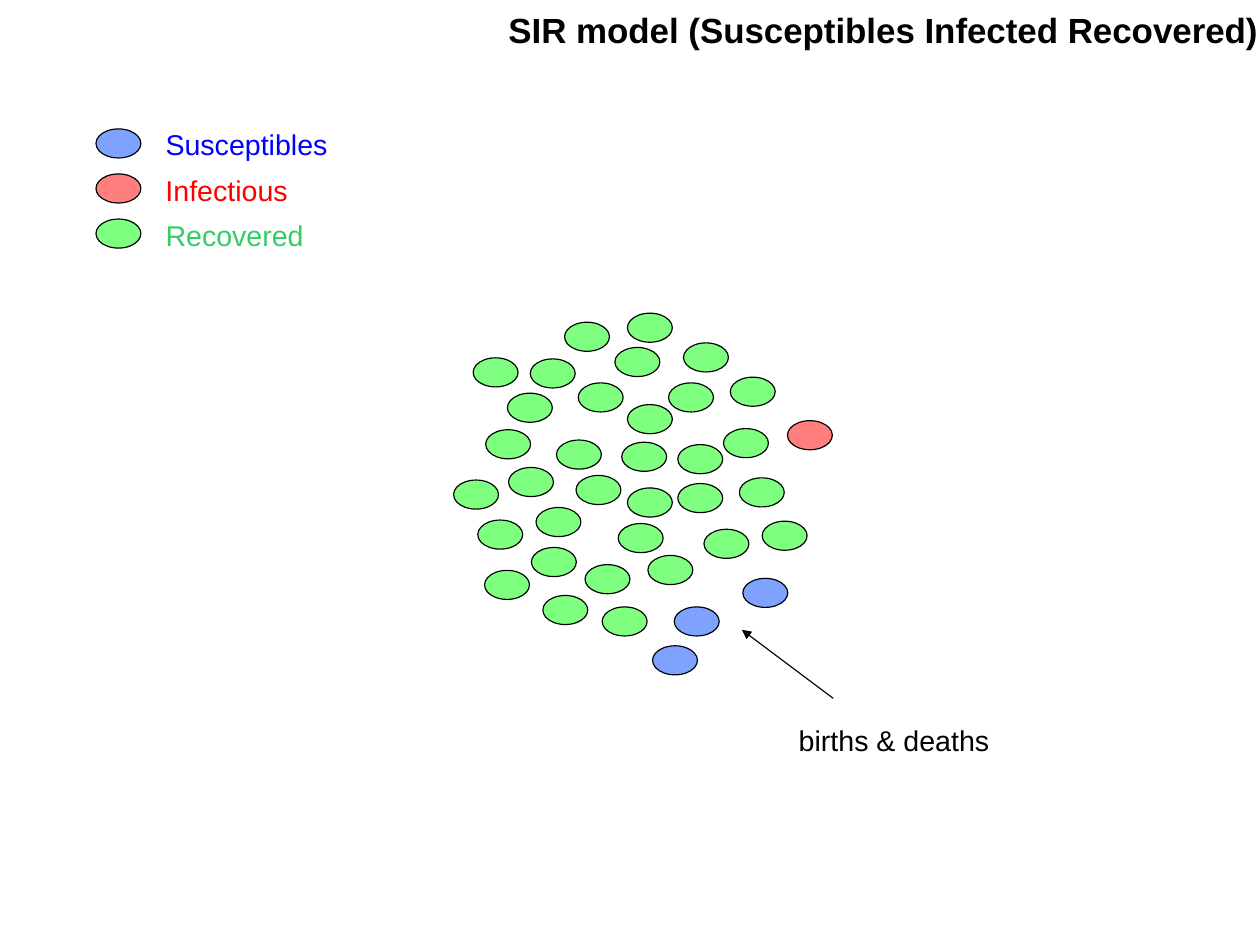
"""Build the slide that shows the groups of the SIR model."""
from dataclasses import dataclass

from lxml.etree import SubElement as Sub
from pptx import Presentation
from pptx.dml.color import RGBColor as Rgb
from pptx.enum.shapes import MSO_CONNECTOR as Link, MSO_SHAPE as Form
from pptx.oxml.ns import qn
from pptx.util import Pt


@dataclass(frozen=True)
class Theme:
    font: str = "Arial"
    title: int = 22
    body: int = 18
    black: str = "000000"
    blue: str = "0047FF"
    red: str = "FF0000"
    green: str = "00FF00"
    sky: str = "0000FF"
    leaf: str = "33CC66"
    edge: float = 0.75
    alpha: int = 50000


THEME = Theme()
SIZE = (28.3, 18.3)
GREEN = [
    (319.7, 247.7), (350.6, 277.2), (364.3, 241.2), (391.7, 278.6),
    (421.2, 241.2), (427, 304.6), (395.3, 307.4), (337.7, 319.7),
    (320.4, 294.5), (334.8, 344.9), (368.6, 355.7), (408.2, 349.9),
    (443.5, 333.4), (455.8, 270), (465.8, 301), (379.4, 382.3),
    (301, 327.6), (342, 375.1), (306, 270.7), (334.1, 226.1),
    (387.4, 218.9), (395.3, 254.9), (362.9, 299.5), (285.8, 302.4),
    (305.3, 359.3), (427, 280.1), (480.2, 328.3), (460.1, 237.6),
    (430.6, 216), (355.7, 203), (389.5, 329.8), (395.3, 197.3),
    (298.1, 225.4),
]
BLUE = [(424.8, 382.3), (411.1, 406.8), (468, 364.3)]
RED = [(496.1, 265)]
LEGEND = [
    ("Susceptibles", THEME.blue, THEME.sky, 115.9),
    ("Infectious", THEME.red, THEME.red, 91.4),
    ("Recovered", THEME.green, THEME.leaf, 101.5),
]


def add_text(slide, text, box, size=THEME.body, color=THEME.black,
             bold=False, wrap=False, top=5):
    shape = slide.shapes.add_textbox(*map(Pt, box))
    frame = shape.text_frame
    frame.word_wrap = wrap
    frame.margin_top, frame.margin_right = Pt(top), Pt(0)
    line = frame.paragraphs[0]
    line.line_spacing = 0.93
    run = line.add_run()
    run.text = text
    font = run.font
    font.name, font.size, font.bold = THEME.font, Pt(size), bold
    font.color.rgb = Rgb.from_string(color)


def set_line(line):
    line.color.rgb = Rgb.from_string(THEME.black)
    line.width = Pt(THEME.edge)


def add_cell(slide, spot, color):
    cell = slide.shapes.add_shape(Form.OVAL, *map(Pt, spot + SIZE))
    cell.shadow.inherit = False
    cell.fill.solid()
    cell.fill.fore_color.rgb = Rgb.from_string(color)
    tint = cell.fill._xPr.find(qn("a:solidFill"))[0]
    Sub(tint, qn("a:alpha"), val=str(THEME.alpha))
    set_line(cell.line)


def add_arrow(slide, start, end):
    arrow = slide.shapes.add_connector(
        Link.STRAIGHT, *map(Pt, start + end))
    set_line(arrow.line)
    Sub(arrow.line._get_or_add_ln(), qn("a:tailEnd"), type="triangle")
    Sub(arrow._element.spPr, qn("a:effectLst"))


def add_legend(slide):
    for row, (name, fill, ink, width) in enumerate(LEGEND):
        drop = row * 28.4
        add_cell(slide, (60.5, 81.2 + drop), fill)
        add_text(slide, name, (97.2, 77.2 + drop, width, 27.4), color=ink)


def main():
    deck = Presentation()
    deck.slide_width, deck.slide_height = Pt(793.75), Pt(595.25)
    slide = deck.slides.add_slide(deck.slide_layouts[6])
    add_text(slide, "SIR model (Susceptibles Infected Recovered)",
             (313.2, 2.9, 480, 31.7), size=THEME.title, bold=True)
    add_legend(slide)
    for spots, color in ((GREEN, THEME.green), (BLUE, THEME.blue),
                         (RED, THEME.red)):
        for spot in spots:
            add_cell(slide, spot, color)
    add_text(slide, "births & deaths", (496.1, 453.6, 149.8, 42.5),
             wrap=True, top=3.6)
    add_arrow(slide, (524.9, 439.9), (467.3, 396.7))
    deck.save("out.pptx")


if __name__ == "__main__":
    main()
